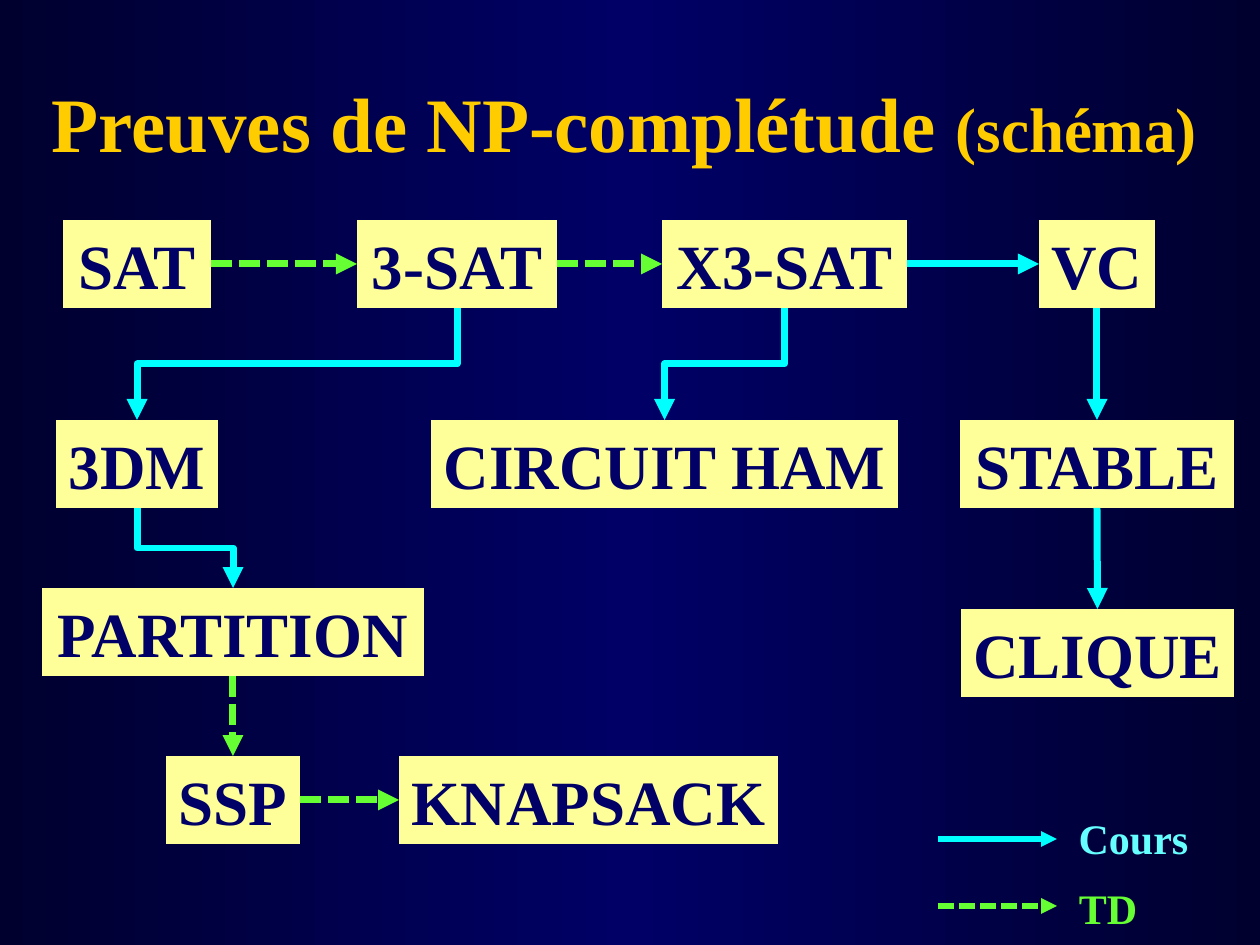
"""Build a slide that charts the chain of NP-completeness proofs."""
from copy import deepcopy

from pptx import Presentation
from pptx.dml.color import RGBColor
from pptx.enum.dml import MSO_LINE
from pptx.enum.shapes import MSO_CONNECTOR, MSO_SHAPE
from pptx.enum.text import MSO_ANCHOR, PP_ALIGN
from pptx.oxml.ns import qn
from pptx.oxml.xmlchemy import OxmlElement
from pptx.util import Pt

BOX = MSO_SHAPE.FLOWCHART_PROCESS
LINE, BENT = MSO_CONNECTOR.STRAIGHT, MSO_CONNECTOR.ELBOW
DASH = MSO_LINE.SQUARE_DOT
MIDDLE, TOP = MSO_ANCHOR.MIDDLE, MSO_ANCHOR.TOP
CENTER = PP_ALIGN.CENTER
UP, LEFT, DOWN, RIGHT = range(4)

FONT = "Times New Roman"
SCALE = 914400 / 126
HIGH = 88
COLORS = {
    "edge": "00002F", "navy": "000066", "gold": "FFCC00", "cream": "FFFF99",
    "cyan": "00FFFF", "green": "66FF33", "pale": "66FFFF",
}

TITLE = [("Preuves de NP-complétude ", 44), ("(schéma)", 36)]
NODES = [
    ("SAT", 63, 220, 148),
    ("3-SAT", 357, 220, 200),
    ("X3-SAT", 662, 220, 245),
    ("VC", 1039, 220, 116),
    ("3DM", 56, 420, 162),
    ("CIRCUIT HAM", 431, 420, 467),
    ("STABLE", 960, 420, 274),
    ("PARTITION", 42, 588, 382),
    ("CLIQUE", 961, 609, 273),
    ("SSP", 166, 756, 134),
    ("KNAPSACK", 399, 756, 379),
]
LINKS = [
    ("SAT", "3-SAT", "across", "green"),
    ("3-SAT", "X3-SAT", "across", "green"),
    ("X3-SAT", "VC", "across", "cyan"),
    ("VC", "STABLE", "down", "cyan"),
    ("STABLE", "CLIQUE", "down", "cyan"),
    ("X3-SAT", "CIRCUIT HAM", "bent", "cyan"),
    ("3-SAT", "3DM", "bent", "cyan"),
    ("3DM", "PARTITION", "bent", "cyan"),
    ("PARTITION", "SSP", "down", "green"),
    ("SSP", "KNAPSACK", "across", "green"),
]
LEGEND = [
    ("Cours", 839, 806, 229, "cyan", "pale"),
    ("TD", 906, 876, 178, "green", "green"),
]


def px(n):
    return round(n * SCALE)


def rgb(name):
    return RGBColor.from_string(COLORS[name])


def write(shape, runs, color, space=0, anchor=MIDDLE, wrap=False):
    frame = shape.text_frame
    frame.word_wrap = wrap
    frame.vertical_anchor = anchor
    para = frame.paragraphs[0]
    para.alignment = CENTER
    para.space_before = Pt(space)
    for text, size in runs:
        run = para.add_run()
        run.text = text
        font = run.font
        font.name, font.size, font.bold = FONT, Pt(size), True
        font.color.rgb = rgb(color)


def paint(slide):
    fill = slide.background.fill
    fill.gradient()
    fill.gradient_angle = 0
    stops = slide._element.find(".//" + qn("a:gsLst"))
    stops.insert(1, deepcopy(stops[0]))
    for stop, (spot, name) in zip(
            fill.gradient_stops, [(0, "edge"), (0.5, "navy"), (1, "edge")]):
        stop.position = spot
        stop.color.rgb = rgb(name)


def arrow(slide, kind, ends, color, width):
    link = slide.shapes.add_connector(kind, *map(px, ends))
    line = link.line
    line.color.rgb = rgb(color)
    line.width = Pt(width)
    if color == "green":
        line.dash_style = DASH
    tip = OxmlElement("a:tailEnd")
    tip.set("type", "triangle")
    line._get_or_add_ln().append(tip)
    link._element.spPr.append(OxmlElement("a:effectLst"))
    return link


def bend(link, start, end):
    x1, y1 = start.left + start.width // 2, start.top + start.height
    x2, y2 = end.left + end.width // 2, end.top
    wide, high = y2 - y1, abs(x2 - x1)
    link.left, link.top = (x1 + x2 - wide) // 2, (y1 + y2 - high) // 2
    link.width, link.height = wide, high
    frame = link._element.spPr.find(qn("a:xfrm"))
    frame.set("rot", "5400000" if x2 < x1 else "16200000")
    frame.set("flipH", "0" if x2 < x1 else "1")
    frame.set("flipV", "0")


def main():
    deck = Presentation()
    deck.slide_width, deck.slide_height = px(1260), px(945)
    slide = deck.slides.add_slide(deck.slide_layouts[6])
    shapes = slide.shapes
    paint(slide)
    title = shapes.add_textbox(px(21), px(69), px(1207), px(105))
    write(title, TITLE, "gold", wrap=True)

    nodes = {}
    for name, x, y, wide in NODES:
        node = shapes.add_shape(BOX, px(x), px(y), px(wide), px(HIGH))
        node.shadow.inherit = False
        node.fill.solid()
        node.fill.fore_color.rgb = rgb("cream")
        node.line.fill.background()
        write(node, [(name, 36)], "navy", 9)
        nodes[name] = node

    for first, last, way, color in LINKS:
        start, end = nodes[first], nodes[last]
        link = arrow(slide, BENT if way == "bent" else LINE,
                     (0, 0, 0, 0), color, 4)
        link.begin_connect(start, RIGHT if way == "across" else DOWN)
        link.end_connect(end, LEFT if way == "across" else UP)
        if way == "bent":
            bend(link, start, end)

    for text, mid, y, wide, color, ink in LEGEND:
        arrow(slide, LINE, (938, mid, 1057, mid), color, 3)
        label = shapes.add_textbox(px(1019), px(y), px(wide), px(63))
        write(label, [(text, 24)], ink, 6, TOP)

    deck.save("out.pptx")


if __name__ == "__main__":
    main()
